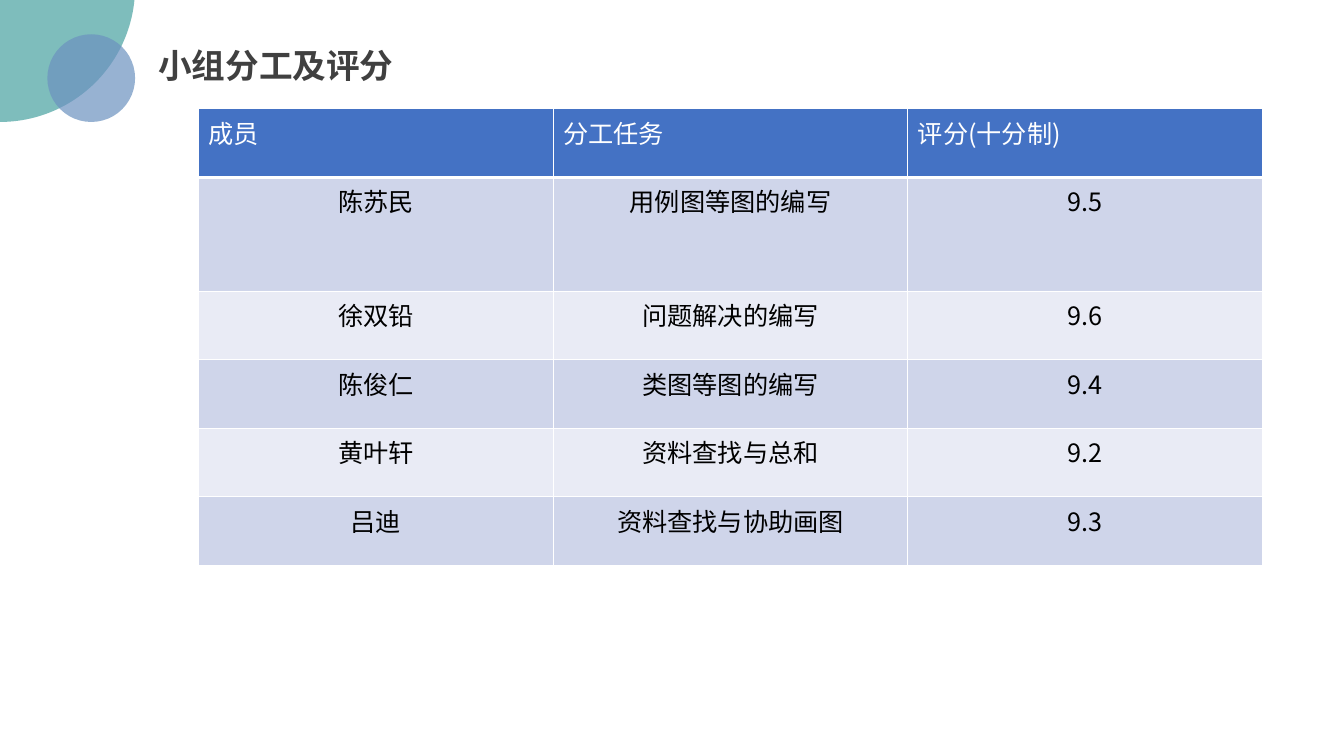
import dataclasses

import lxml.etree
import pptx
import pptx.dml.color
import pptx.enum.shapes
import pptx.enum.text
import pptx.oxml.ns
import pptx.util

Inches = pptx.util.Inches
Pt = pptx.util.Pt
Align = pptx.enum.text.PP_ALIGN
qn = pptx.oxml.ns.qn


@dataclasses.dataclass(frozen=True)
class Theme:
    font: str = "Noto Sans CJK SC"
    title_size: int = 24
    cell_size: int = 18
    title: str = "404040"
    teal: str = "48A2A0"
    blue: str = "6C92C0"
    header: str = "4472C4"
    bands: tuple = ("CFD5EA", "E9EBF5")
    white: str = "FFFFFF"
    black: str = "000000"
    circle_alpha: int = 70


THEME = Theme()

TITLE = "小组分工及评分"
HEADINGS = ("成员", "分工任务", "评分(十分制)")
MEMBERS = (
    ("陈苏民", "用例图等图的编写", "9.5"),
    ("徐双铅", "问题解决的编写", "9.6"),
    ("陈俊仁", "类图等图的编写", "9.4"),
    ("黄叶轩", "资料查找与总和", "9.2"),
    ("吕迪", "资料查找与协助画图", "9.3"),
)
ROW_HEIGHT, TALL_ROW_HEIGHT = 0.68, 1.13


def rgb(color):
    return pptx.dml.color.RGBColor.from_string(color)


def format_paragraph(para, size, color, bold=False, align=Align.LEFT):
    para.alignment = align
    font = para.font
    font.size = Pt(size)
    font.bold = bold
    font.color.rgb = rgb(color)
    font.name = THEME.font
    # East Asian typeface
    defaults = para._p.pPr.find(qn("a:defRPr"))
    lxml.etree.SubElement(defaults, qn("a:ea"), typeface=THEME.font)


def add_circle(page, left, top, diameter, color):
    circle = page.shapes.add_shape(
        pptx.enum.shapes.MSO_SHAPE.OVAL,
        Inches(left), Inches(top), Inches(diameter), Inches(diameter))
    circle.shadow.inherit = False
    circle.line.fill.background()
    circle.fill.solid()
    circle.fill.fore_color.rgb = rgb(color)
    # Transparency
    tint = circle.fill._xPr.find(".//" + qn("a:srgbClr"))
    lxml.etree.SubElement(tint, qn("a:alpha"), val=str(THEME.circle_alpha * 1000))


def add_corner(page, right, bottom):
    """Two circles that share the right and bottom edges of the corner."""
    for diameter, color in ((2.68, THEME.teal), (0.87, THEME.blue)):
        add_circle(page, right - diameter, bottom - diameter, diameter, color)


def add_title(page, left, top, width, height):
    title = page.shapes.title
    title.left, title.top = Inches(left), Inches(top)
    title.width, title.height = Inches(width), Inches(height)
    frame = title.text_frame
    frame.text = TITLE
    frame.word_wrap = False
    frame.auto_size = pptx.enum.text.MSO_AUTO_SIZE.SHAPE_TO_FIT_TEXT
    format_paragraph(frame.paragraphs[0], THEME.title_size, THEME.title, bold=True)


def set_borders(cell, bottom_width):
    properties = cell._tc.get_or_add_tcPr()
    widths = {"a:lnL": 1, "a:lnR": 1, "a:lnT": 1, "a:lnB": bottom_width}
    for position, (side, width) in enumerate(widths.items()):
        line = lxml.etree.Element(qn(side), w=str(Pt(width)))
        fill = lxml.etree.SubElement(line, qn("a:solidFill"))
        lxml.etree.SubElement(fill, qn("a:srgbClr"), val=THEME.white)
        properties.insert(position, line)


def add_score_table(page, left, top, width):
    rows = (HEADINGS,) + MEMBERS
    heights = [ROW_HEIGHT] * len(rows)
    heights[1] = TALL_ROW_HEIGHT
    table = page.shapes.add_table(
        len(rows), len(HEADINGS), Inches(left), Inches(top),
        Inches(width), Inches(sum(heights))).table
    table.first_row = False
    table.horz_banding = False
    for row_index, texts in enumerate(rows):
        table.rows[row_index].height = Inches(heights[row_index])
        is_header = row_index == 0
        fill = THEME.header if is_header else THEME.bands[(row_index - 1) % 2]
        color = THEME.white if is_header else THEME.black
        align = Align.LEFT if is_header else Align.CENTER
        for column_index, text in enumerate(texts):
            cell = table.cell(row_index, column_index)
            cell.text = text
            cell.fill.solid()
            cell.fill.fore_color.rgb = rgb(fill)
            set_borders(cell, bottom_width=3 if is_header else 1)
            format_paragraph(cell.text_frame.paragraphs[0], THEME.cell_size,
                             color, align=align)


def main():
    deck = pptx.Presentation()
    deck.slide_width, deck.slide_height = Inches(13.33), Inches(7.5)
    page = deck.slides.add_slide(deck.slide_layouts.get_by_name("Title Only"))
    add_corner(page, right=1.34, bottom=1.21)
    add_title(page, 1.47, 0.4, 2.56, 0.5)
    add_score_table(page, 1.97, 1.08, 10.55)
    deck.save("out.pptx")


if __name__ == "__main__":
    main()
